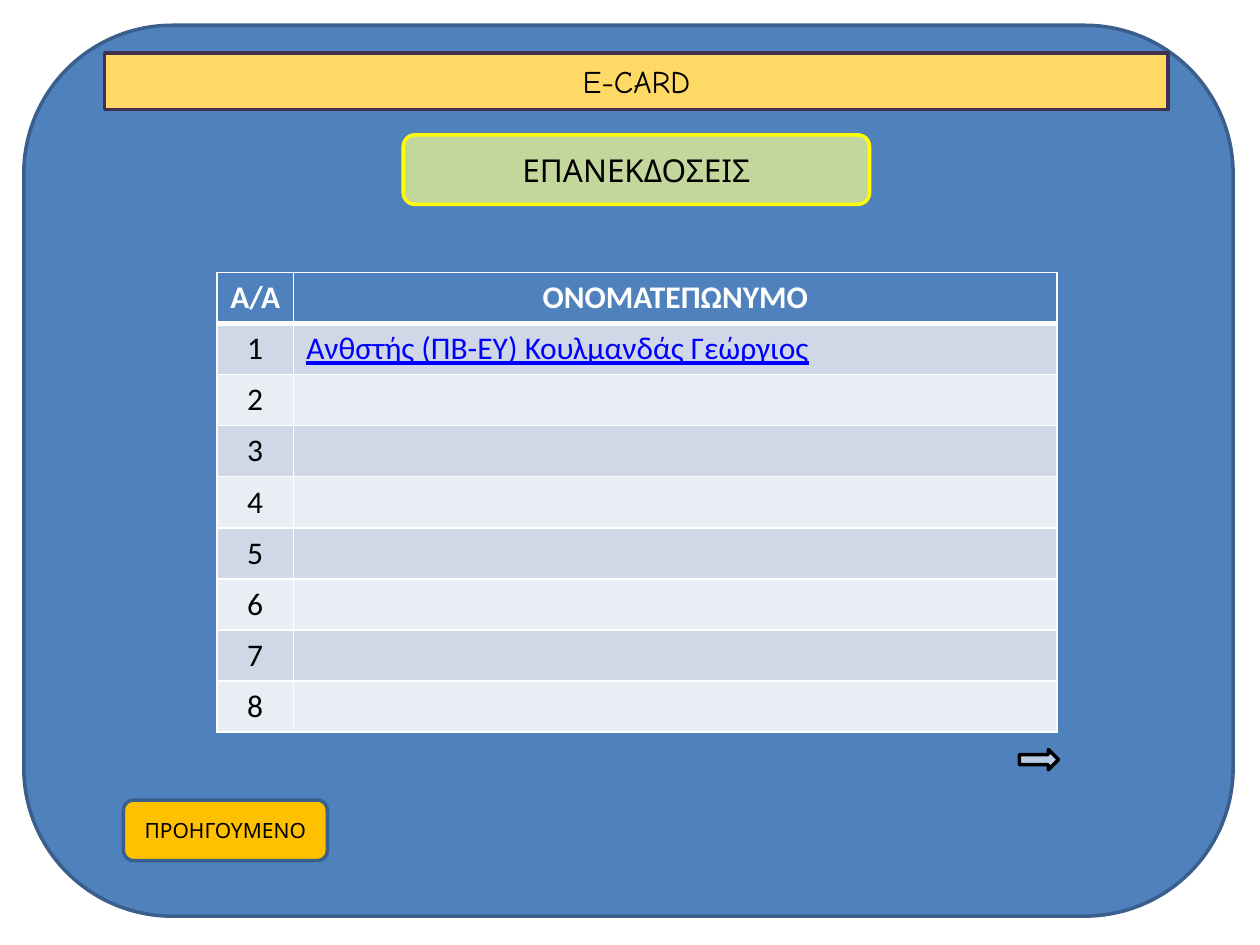
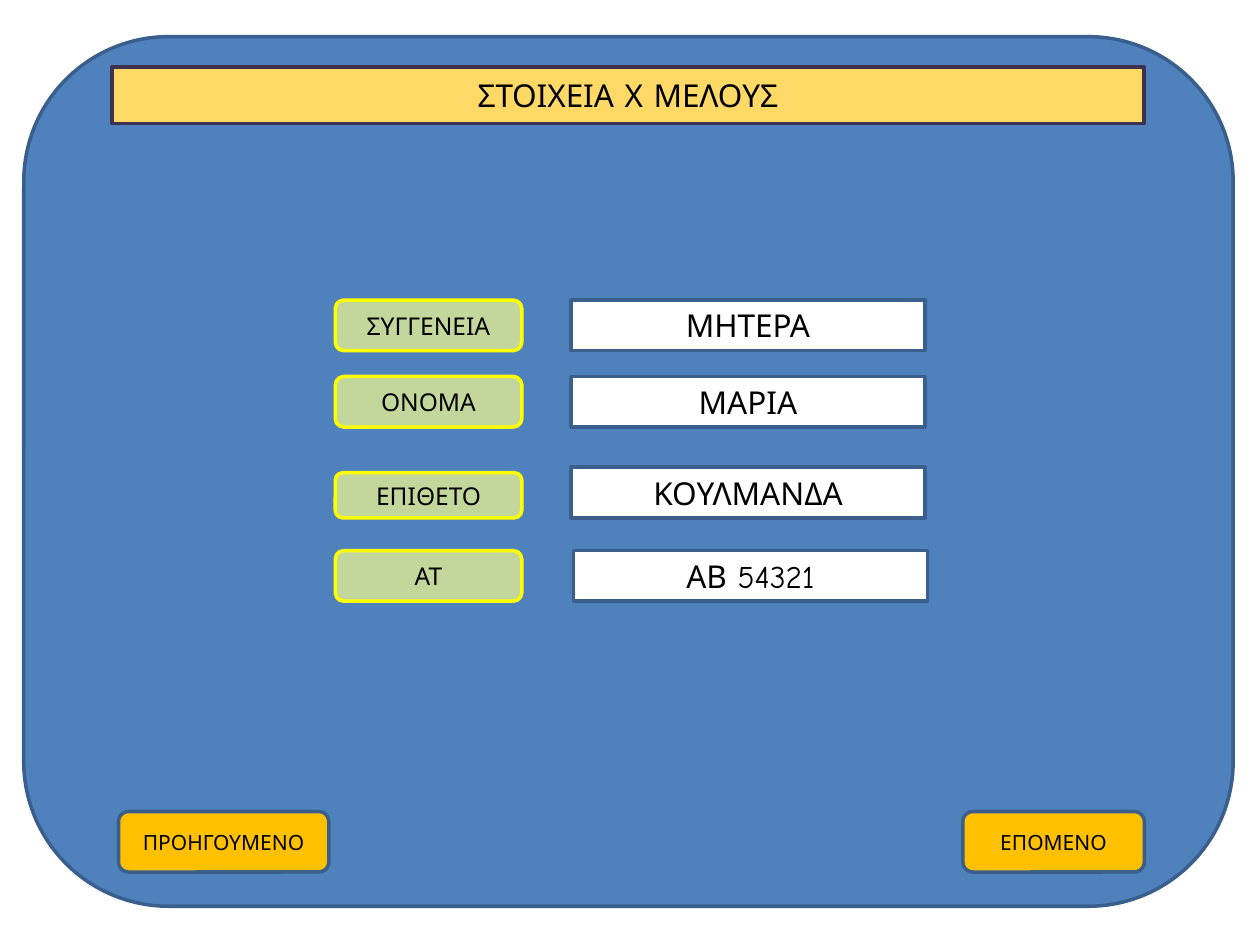
from dataclasses import dataclass

from lxml.etree import SubElement
from pptx import Presentation
from pptx.dml.color import RGBColor as Rgb
from pptx.enum.shapes import MSO_SHAPE as Preset
from pptx.enum.text import MSO_ANCHOR as Anchor, MSO_AUTO_SIZE as AutoSize, PP_ALIGN as Align
from pptx.oxml.ns import qn
from pptx.util import Cm, Pt


@dataclass(frozen=True)
class Theme:
    # Colours
    panel: str = "4F81BD"
    outline: str = "3A5F8C"
    band: str = "FFD966"
    band_line: str = "403152"
    badge: str = "C3D69B"
    badge_line: str = "FFFF00"
    button: str = "FFC000"
    arrow: str = "B9CDE5"
    odd_row: str = "D0D8E8"
    even_row: str = "E9EDF4"
    link: str = "0000FF"
    white: str = "FFFFFF"
    black: str = "000000"
    # Type
    font: str = "Comic Neue"
    table_font: str = "Calibri"
    large: int = 18
    medium: int = 14
    small: int = 12
    # Line widths in points
    line: int = 2
    grid: int = 1
    header_rule: int = 3


class CardDeck:
    """Holds the theme, the deck and the current page. Lengths are in cm."""

    def __init__(self, theme):
        self.theme = theme
        self.deck = Presentation()
        self.deck.slide_width, self.deck.slide_height = Cm(25.4), Cm(19.05)
        self.page = None

    # Text and surface styling
    def set_text(self, frame, text, size, color, font, align=Align.CENTER, bold=False, underline=False):
        frame.text = text
        para = frame.paragraphs[0]
        para.alignment = align
        for span in para.runs:
            span.font.name, span.font.size = font, Pt(size)
            span.font.bold, span.font.underline = bold, underline
            span.font.color.rgb = Rgb.from_string(color)

    def paint(self, box, fill, line):
        box.fill.solid()
        box.fill.fore_color.rgb = Rgb.from_string(fill)
        box.line.color.rgb = Rgb.from_string(line)
        box.line.width = Pt(self.theme.line)

    # Page with rounded panel and title band
    def add_page(self, title, panel_top, panel_height, band):
        theme = self.theme
        self.page = self.deck.slides.add_slide(self.deck.slide_layouts[5])
        panel = self.shape(Preset.ROUNDED_RECTANGLE, (0.48, panel_top, 24.38, panel_height),
                           theme.panel, theme.outline)
        box = self.page.shapes.title
        box.element.addprevious(panel.element)
        box.left, box.top, box.width, box.height = map(Cm, band)
        self.paint(box, theme.band, theme.band_line)
        frame = box.text_frame
        frame.auto_size, frame.vertical_anchor = AutoSize.NONE, Anchor.MIDDLE
        self.set_text(frame, title, theme.large, theme.black, theme.font)

    # Shapes
    def shape(self, preset, place, fill, line, text="", size=18):
        box = self.page.shapes.add_shape(preset, *map(Cm, place))
        box.shadow.inherit = False
        self.paint(box, fill, line)
        if text:
            box.text_frame.vertical_anchor = Anchor.MIDDLE
            self.set_text(box.text_frame, text, size, self.theme.black, self.theme.font)
        return box

    def badge(self, text, place, size):
        self.shape(Preset.ROUNDED_RECTANGLE, place, self.theme.badge, self.theme.badge_line, text, size)

    def field(self, text, place):
        self.shape(Preset.RECTANGLE, place, self.theme.white, self.theme.outline, text, self.theme.large)

    def button(self, text, left, top, width):
        self.shape(Preset.ROUNDED_RECTANGLE, (left, top, width, 1.22),
                   self.theme.button, self.theme.outline, text, self.theme.small)

    def arrow(self, place):
        self.shape(Preset.RIGHT_ARROW, place, self.theme.arrow, self.theme.black)

    # Table
    def borders(self, cell, top, bottom):
        grid = self.theme.grid
        properties = cell._tc.get_or_add_tcPr()
        sides = {"a:lnL": grid, "a:lnR": grid, "a:lnT": top, "a:lnB": bottom}
        for index, (tag, width) in enumerate(sides.items()):
            line = SubElement(properties, qn(tag), w=str(Pt(width)))
            SubElement(SubElement(line, qn("a:solidFill")), qn("a:srgbClr"), val=self.theme.white)
            properties.insert(index, line)

    def name_table(self, headings, names, left, top, widths, row_height):
        theme = self.theme
        rows = [headings] + [(str(number), name) for number, name in enumerate(names, 1)]
        table = self.page.shapes.add_table(len(rows), len(widths), Cm(left), Cm(top),
                                           Cm(sum(widths)), Cm(row_height * len(rows))).table
        for column, width in zip(table.columns, widths):
            column.width = Cm(width)
        for r, row in enumerate(rows):
            table.rows[r].height = Cm(row_height)
            header = r == 0
            fill = theme.panel if header else (theme.even_row, theme.odd_row)[r % 2]
            for c, text in enumerate(row):
                cell = table.cell(r, c)
                cell.fill.solid()
                cell.fill.fore_color.rgb = Rgb.from_string(fill)
                self.borders(cell, theme.header_rule if r == 1 else theme.grid,
                             theme.header_rule if header else theme.grid)
                linked = c == 1 and not header
                color = theme.white if header else theme.link if linked else theme.black
                self.set_text(cell.text_frame, text, theme.large, color, theme.table_font,
                              Align.LEFT if linked else Align.CENTER, header, linked)


def build_reissues(cards):
    cards.add_page("E-CARD", 0.51, 17.96, (2.11, 1.07, 21.44, 1.14))
    cards.badge("ΕΠΑΝΕΚΔΟΣΕΙΣ", (8.13, 2.72, 9.4, 1.4), cards.theme.large)
    names = ["Ανθστής (ΠΒ-ΕΥ) Κουλμανδάς Γεώργιος"] + [""] * 7
    cards.name_table(("Α/Α", "ΟΝΟΜΑΤΕΠΩΝΥΜΟ"), names, 4.37, 5.49, (1.55, 15.39), 1.03)
    cards.arrow((20.55, 15.11, 0.79, 0.41))
    cards.button("ΠΡΟΗΓΟΥΜΕΝΟ", 2.49, 16.13, 4.11)


def build_member(cards):
    cards.add_page("ΣΤΟΙΧΕΙΑ Χ ΜΕΛΟΥΣ", 0.74, 17.53, (2.26, 1.35, 20.8, 1.14))
    # Label, value, row top, label height, value left; labels sit on the row's bottom
    height = 1.02
    details = [
        ("ΣΥΓΓΕΝΕΙΑ", "ΜΗΤΕΡΑ", 6.05, height, 11.51),
        ("ΟΝΟΜΑ", "ΜΑΡΙΑ", 7.59, height, 11.51),
        ("ΕΠΙΘΕΤΟ", "ΚΟΥΛΜΑΝΔΑ", 9.42, 0.91, 11.51),
        ("ΑΤ", "ΑΒ 54321", 11.1, height, 11.56),
    ]
    for label, value, top, label_height, value_left in details:
        cards.badge(label, (6.76, top + height - label_height, 3.76, label_height), cards.theme.medium)
        cards.field(value, (value_left, top, 7.14, height))
    cards.button("ΠΡΟΗΓΟΥΜΕΝΟ", 2.39, 16.36, 4.24)
    cards.button("ΕΠΟΜΕΝΟ", 19.41, 16.36, 3.66)


def main():
    cards = CardDeck(Theme())
    build_reissues(cards)
    build_member(cards)
    cards.deck.save("out.pptx")


if __name__ == "__main__":
    main()
